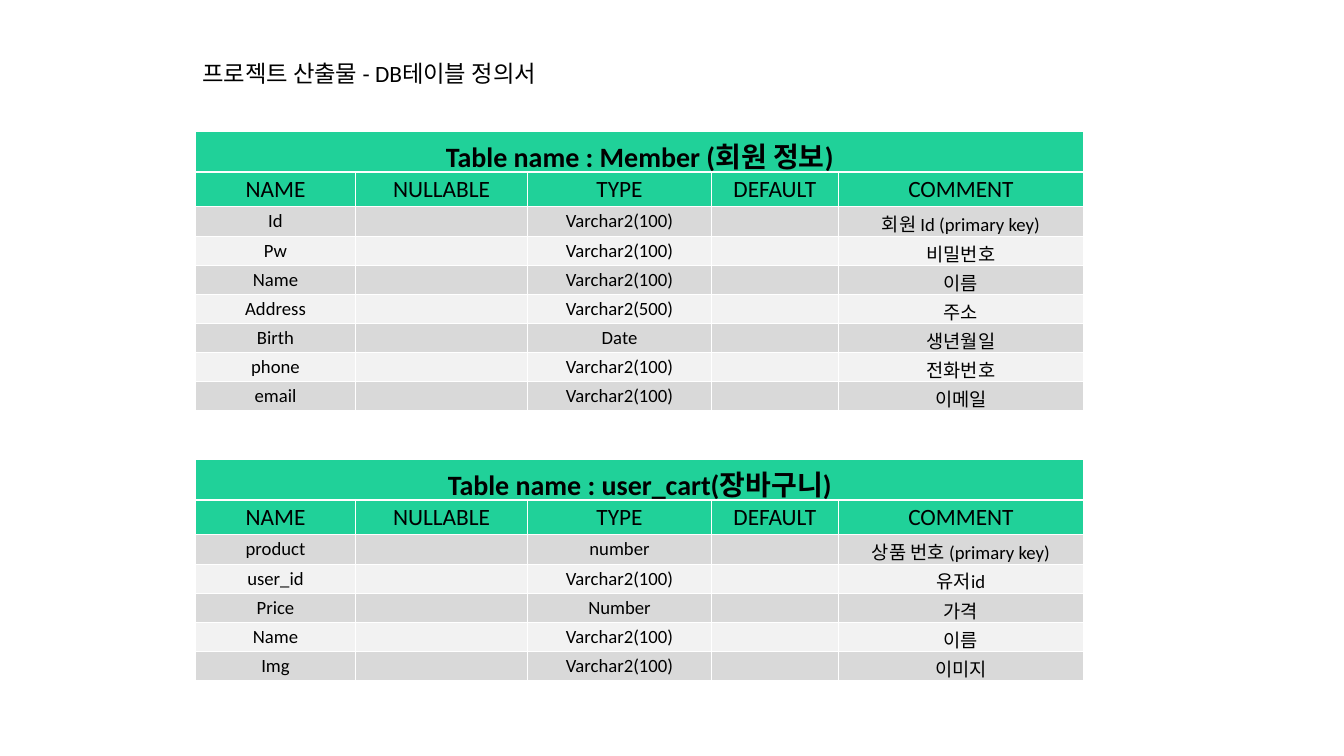
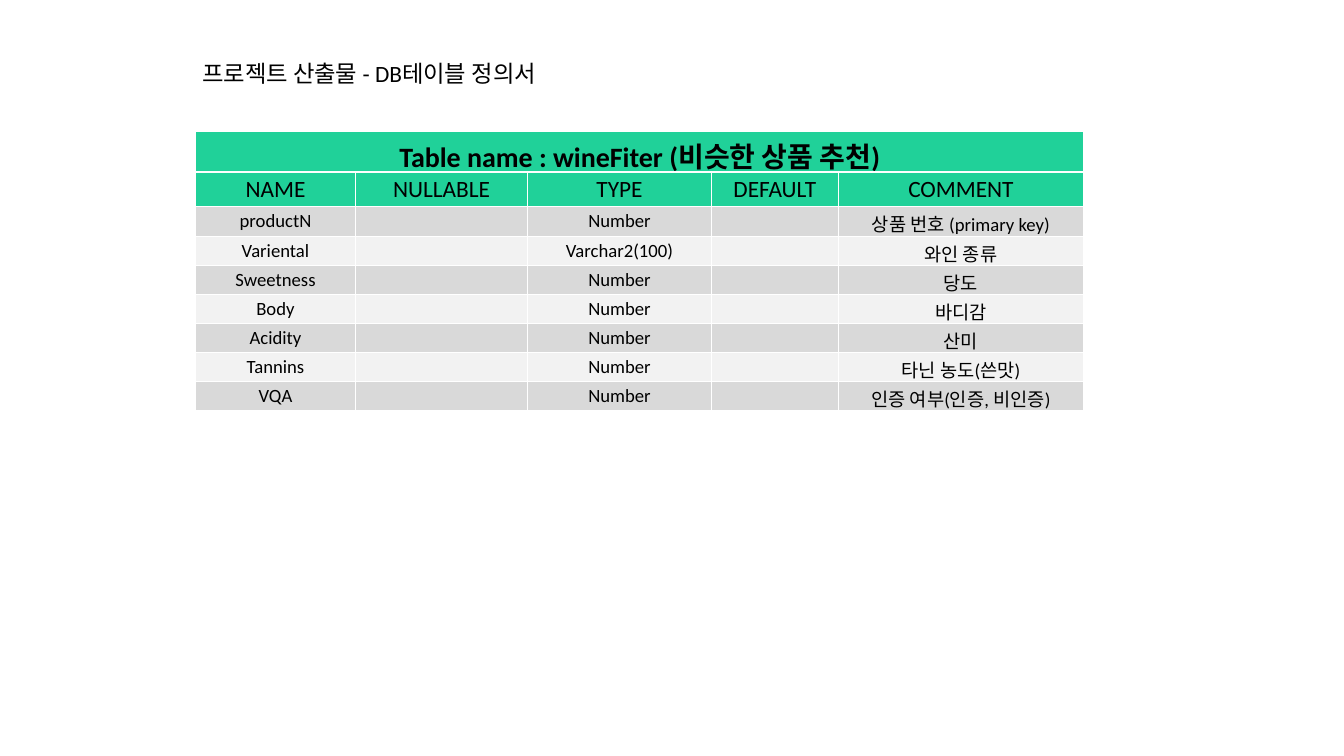
from lxml import etree
from pptx import Presentation
from pptx.dml.color import RGBColor
from pptx.enum.text import MSO_ANCHOR, MSO_AUTO_SIZE, PP_ALIGN
from pptx.oxml.ns import qn
from pptx.util import Inches, Pt

TITLE = "프로젝트 산출물 - DB테이블 정의서"
HEADERS = ["NAME", "NULLABLE", "TYPE", "DEFAULT", "COMMENT"]
MEMBER = ("Table name : Member (회원 정보)", [
    ("Id", "Varchar2(100)", "회원 Id (primary key)"),
    ("Pw", "Varchar2(100)", "비밀번호"),
    ("Name", "Varchar2(100)", "이름"),
    ("Address", "Varchar2(500)", "주소"),
    ("Birth", "Date", "생년월일"),
    ("phone", "Varchar2(100)", "전화번호"),
    ("email", "Varchar2(100)", "이메일"),
])
USER_CART = ("Table name : user_cart(장바구니)", [
    ("product", "number", "상품 번호 (primary key)"),
    ("user_id", "Varchar2(100)", "유저id"),
    ("Price", "Number", "가격"),
    ("Name", "Varchar2(100)", "이름"),
    ("Img", "Varchar2(100)", "이미지"),
])
WINE_FILTER = ("Table name : wineFiter (비슷한 상품 추천)", [
    ("productN", "Number", "상품 번호 (primary key)"),
    ("Variental", "Varchar2(100)", "와인 종류"),
    ("Sweetness", "Number", "당도"),
    ("Body", "Number", "바디감"),
    ("Acidity", "Number", "산미"),
    ("Tannins", "Number", "타닌 농도(쓴맛)"),
    ("VQA", "Number", "인증 여부(인증, 비인증)"),
])
SLIDES = [[(1.96, MEMBER), (6.84, USER_CART)], [(1.96, WINE_FILTER)]]

GREEN = RGBColor(0x20, 0xD1, 0x99)
DARK_BAND = RGBColor(0xD9, 0xD9, 0xD9)
LIGHT_BAND = RGBColor(0xF2, 0xF2, 0xF2)
BLACK = RGBColor(0, 0, 0)
WHITE = RGBColor(0xFF, 0xFF, 0xFF)
LATIN_FONT = "Calibri"
KOREAN_FONT = "Noto Sans CJK KR"
CENTER = PP_ALIGN.CENTER
LEFT_ALIGN = PP_ALIGN.LEFT
MIDDLE = MSO_ANCHOR.MIDDLE
TOP_ANCHOR = MSO_ANCHOR.TOP
GROW = MSO_AUTO_SIZE.SHAPE_TO_FIT_TEXT

LEFT = 2.91
COLUMN_WIDTHS = [2.38, 2.56, 2.74, 1.88, 3.66]
NAME_ROW, HEADER_ROW, FIELD_ROW = 0.6, 0.51, 0.43


def add_text(tf, text, size, align, bold=False):
    p = tf.paragraphs[0]
    p.alignment = align
    r = p.add_run()
    r.text = text
    r.font.size = Pt(size)
    r.font.bold = bold
    r.font.name = LATIN_FONT
    r.font.color.rgb = BLACK
    latin = r.font._element.find(qn("a:latin"))
    ea = etree.Element(qn("a:ea"), typeface=KOREAN_FONT)
    latin.addnext(ea)


def add_border(cell, side, width):
    tc_pr = cell._tc.get_or_add_tcPr()
    ln = etree.SubElement(tc_pr, qn(f"a:ln{side}"), w=str(Pt(width)))
    fill = etree.SubElement(ln, qn("a:solidFill"))
    etree.SubElement(fill, qn("a:srgbClr"), val=str(WHITE))


def format_cell(cell, text, size, color, bold=False, bottom=1):
    for side, width in (("L", 1), ("R", 1), ("T", 1), ("B", bottom)):
        add_border(cell, side, width)
    cell.fill.solid()
    cell.fill.fore_color.rgb = color
    cell.vertical_anchor = TOP_ANCHOR
    if text:
        add_text(cell.text_frame, text, size, CENTER, bold)


def add_definition(s, top, name, fields):
    heights = [NAME_ROW, HEADER_ROW] + [FIELD_ROW] * len(fields)
    frame = s.shapes.add_table(
        len(heights), len(HEADERS), Inches(LEFT), Inches(top),
        Inches(sum(COLUMN_WIDTHS)), Inches(sum(heights)))
    table = frame.table
    table.first_row = False
    table.horz_banding = False
    for column, width in zip(table.columns, COLUMN_WIDTHS):
        column.width = Inches(width)
    for row, height in zip(table.rows, heights):
        row.height = Inches(height)

    table.cell(0, 0).merge(table.cell(0, len(HEADERS) - 1))
    for c, header in enumerate(HEADERS):
        format_cell(table.cell(0, c), name if c == 0 else "", 30, GREEN, True, 3)
        format_cell(table.cell(1, c), header, 25, GREEN)
    for i, (field, kind, comment) in enumerate(fields):
        color = LIGHT_BAND if i % 2 else DARK_BAND
        for c, text in enumerate([field, "", kind, "", comment]):
            format_cell(table.cell(i + 2, c), text, 20, color)


def add_title(s):
    title = s.shapes.title
    title.left, title.top = Inches(LEFT), Inches(0.83)
    title.width, title.height = Inches(7.25), Inches(0.52)
    tf = title.text_frame
    tf.word_wrap = True
    tf.auto_size = GROW
    tf.vertical_anchor = MIDDLE
    add_text(tf, TITLE, 25, LEFT_ALIGN)


def main():
    prs = Presentation()
    prs.slide_width, prs.slide_height = Inches(20), Inches(11.25)
    for definitions in SLIDES:
        s = prs.slides.add_slide(prs.slide_layouts[5])
        add_title(s)
        for top, (name, fields) in definitions:
            add_definition(s, top, name, fields)
    prs.save("out.pptx")


if __name__ == "__main__":
    main()
